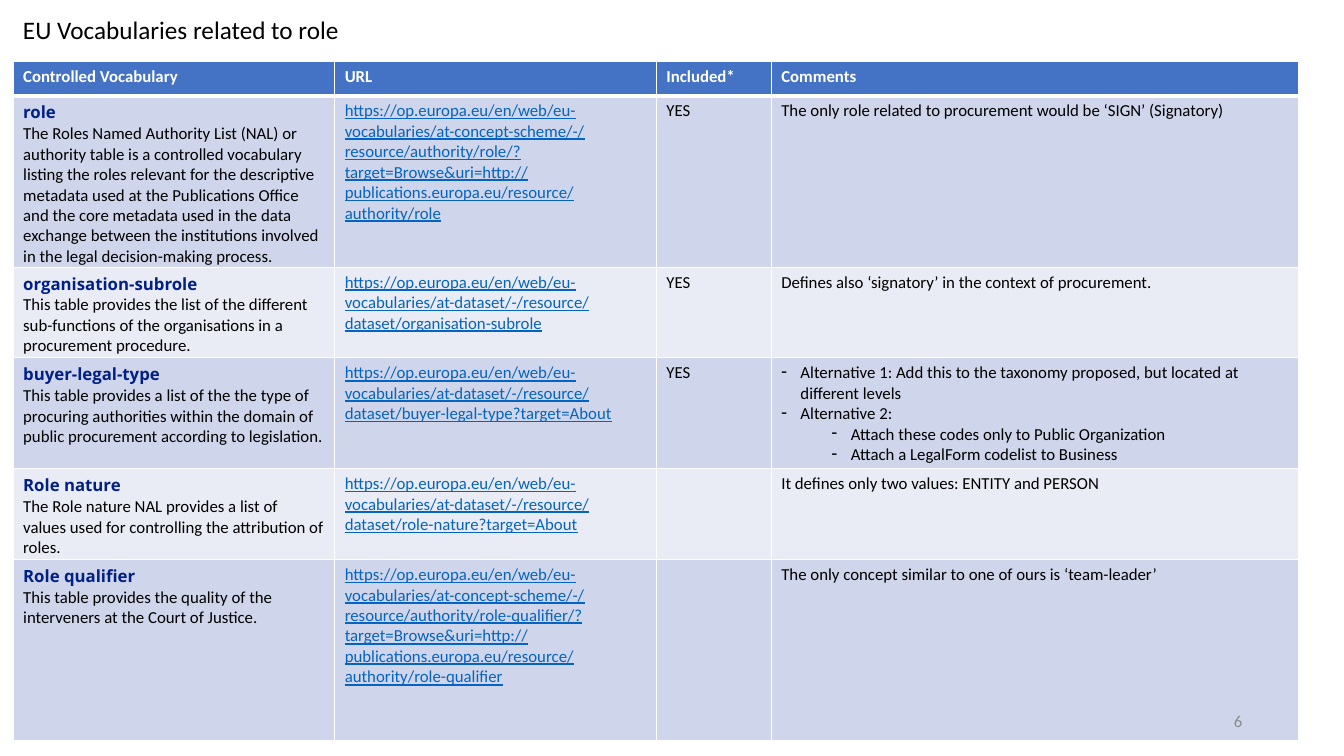
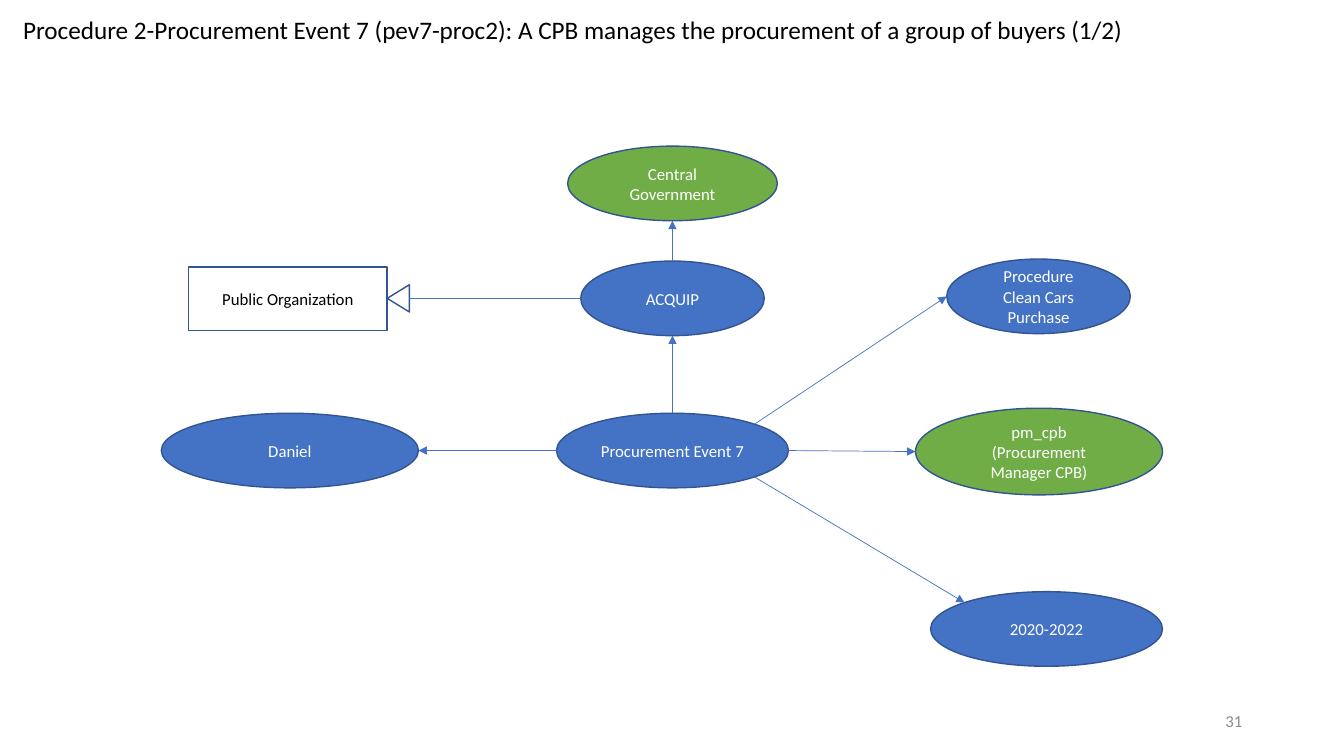
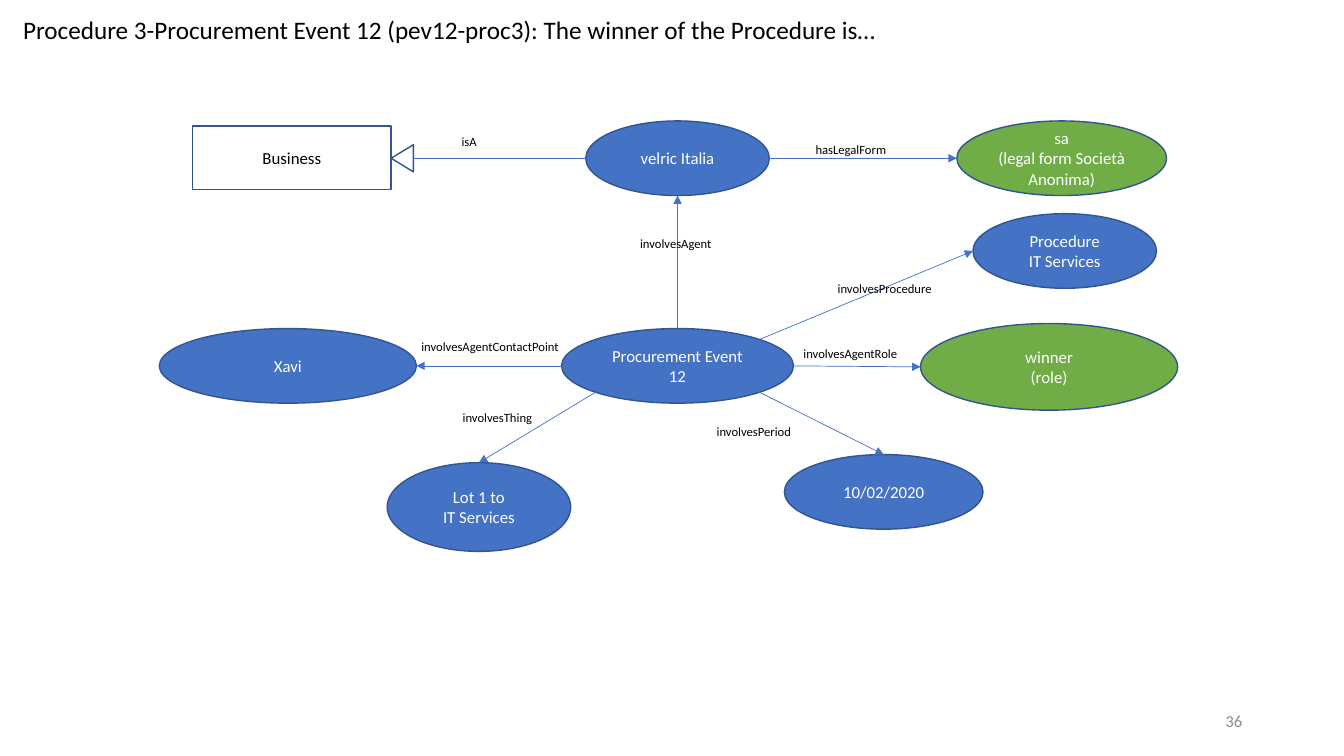
import math
from dataclasses import dataclass

from lxml import etree
from pptx import Presentation
from pptx.dml.color import RGBColor
from pptx.enum import shapes, text
from pptx.oxml import ns
from pptx.util import Inches, Pt

COLORS = {
    "text": "000000",
    "white": "FFFFFF",
    "blue": "4472C4",
    "green": "70AD47",
    "outline": "325491",
    "number": "8C8C8C",
    "heading": "012087",
    "url": "0563C1",
    "band_dark": "CFD5EA",
    "band_light": "E9EBF5",
}
BODY_FONT, HEADING_FONT = "Calibri", "Open Sans"
LEFT, CENTER, RIGHT = text.PP_ALIGN.LEFT, text.PP_ALIGN.CENTER, text.PP_ALIGN.RIGHT
COMPASS = {"e": 0, "se": 45, "s": 90, "sw": 135, "w": 180, "nw": 225, "n": 270, "ne": 315}

TABLE_LEFT, TABLE_TOP = 0.13, 0.61
COLUMN_WIDTHS = (3.19, 3.19, 1.14, 5.23)
ROW_HEIGHTS = (0.34, 1.7, 0.9, 1.1, 0.9, 1.8)
HEADERS = ("Controlled Vocabulary", "URL", "Included*", "Comments")
URL_BASE = "https://op.europa.eu/en/web/eu-vocabularies/"


@dataclass
class Title:
    wording: str
    width: float
    number: int


@dataclass
class Comment:
    wording: str
    indent: float = 0


@dataclass
class Vocabulary:
    name: str
    description: str
    url: str
    included: str
    comments: list[Comment]


@dataclass
class Node:
    """An ellipse of the diagram."""
    wording: str
    left: float
    top: float
    width: float = 1.82
    height: float = 0.74
    color: str = "blue"

    def anchor(self, direction: str) -> tuple[float, float]:
        angle = math.radians(COMPASS[direction])
        return (self.left + self.width / 2 * (1 + math.cos(angle)),
                self.top + self.height / 2 * (1 + math.sin(angle)))


@dataclass
class Arrow:
    start: str
    start_side: str
    end: str
    end_side: str


@dataclass
class Superclass:
    """A class box that a node specialises."""
    wording: str
    left: float
    top: float
    member: str


@dataclass
class Label:
    wording: str
    left: float
    top: float
    width: float


@dataclass
class Diagram:
    title: Title
    nodes: dict[str, Node]
    arrows: list[Arrow]
    superclass: Superclass
    labels: list[Label]


VOCABULARIES = [
    Vocabulary(
        "role",
        "The Roles Named Authority List (NAL) or authority table is a controlled vocabulary "
        "listing the roles relevant for the descriptive metadata used at the Publications Office "
        "and the core metadata used in the data exchange between the institutions involved in "
        "the legal decision-making process.",
        "at-concept-scheme/-/resource/authority/role/?target=Browse"
        "&uri=http://publications.europa.eu/resource/authority/role",
        "YES",
        [Comment("The only role related to procurement would be ‘SIGN’ (Signatory)")]),
    Vocabulary(
        "organisation-subrole",
        "This table provides the list of the different sub-functions of the organisations in a "
        "procurement procedure.",
        "at-dataset/-/resource/dataset/organisation-subrole",
        "YES",
        [Comment("Defines also ‘signatory’ in the context of procurement.")]),
    Vocabulary(
        "buyer-legal-type",
        "This table provides a list of the the type of procuring authorities within the domain "
        "of public procurement according to legislation.",
        "at-dataset/-/resource/dataset/buyer-legal-type?target=About",
        "YES",
        [Comment("Alternative 1: Add this to the taxonomy proposed, but located at different "
                 "levels", 0.19),
         Comment("Alternative 2:", 0.19),
         Comment("Attach these codes only to Public Organization", 0.69),
         Comment("Attach a LegalForm codelist to Business", 0.69)]),
    Vocabulary(
        "Role nature",
        "The Role nature NAL provides a list of values used for controlling the attribution of "
        "roles.",
        "at-dataset/-/resource/dataset/role-nature?target=About",
        "",
        [Comment("It defines only two values: ENTITY and PERSON")]),
    Vocabulary(
        "Role qualifier",
        "This table provides the quality of the interveners at the Court of Justice.",
        "at-concept-scheme/-/resource/authority/role-qualifier/?target=Browse"
        "&uri=http://publications.europa.eu/resource/authority/role-qualifier",
        "",
        [Comment("The only concept similar to one of ours is ‘team-leader’")]),
]

GROUP_OF_BUYERS = Diagram(
    Title("Procedure 2-Procurement Event 7 (pev7-proc2): A CPB manages the procurement of a "
          "group of buyers (1/2)", 11.15, 31),
    {
        "buyer": Node("ACQUIP", 5.76, 2.59),
        "event": Node("Procurement Event 7", 5.52, 4.1, 2.3),
        "role": Node("pm_cpb\n(Procurement Manager CPB)", 9.08, 4.05, 2.45, 0.86, "green"),
        "contact": Node("Daniel", 1.6, 4.1, 2.55),
        "level": Node("Central Government", 5.63, 1.45, 2.08, color="green"),
        "procedure": Node("Procedure\nClean Cars Purchase", 9.39, 2.57),
        "period": Node("2020-2022", 9.23, 5.87, 2.3),
    },
    [
        Arrow("event", "n", "buyer", "s"),
        Arrow("event", "w", "contact", "e"),
        Arrow("event", "e", "role", "w"),
        Arrow("buyer", "n", "level", "s"),
        Arrow("event", "ne", "procedure", "w"),
        Arrow("event", "se", "period", "nw"),
    ],
    Superclass("Public Organization", 1.87, 2.65, "buyer"),
    [],
)

WINNER = Diagram(
    Title("Procedure 3-Procurement Event 12 (pev12-proc3): The winner of the Procedure is…",
          8.71, 36),
    {
        "business": Node("velric Italia", 5.81, 1.2),
        "lot": Node("Lot 1 to\nIT Services", 3.84, 4.59, height=0.88),
        "period": Node("10/02/2020", 7.78, 4.51, 1.97),
        "event": Node("Procurement Event 12", 5.57, 3.26, 2.3),
        "role": Node("winner\n(role)", 9.13, 3.21, 2.55, 0.86, "green"),
        "contact": Node("Xavi", 1.58, 3.26, 2.55),
        "legal form": Node("sa\n(legal form Società Anonima)", 9.49, 1.2, 2.08, color="green"),
        "procedure": Node("Procedure\nIT Services", 9.65, 2.12),
    },
    [
        Arrow("event", "n", "business", "s"),
        Arrow("event", "w", "contact", "e"),
        Arrow("event", "sw", "lot", "n"),
        Arrow("event", "se", "period", "n"),
        Arrow("event", "e", "role", "w"),
        Arrow("business", "e", "legal form", "w"),
        Arrow("event", "ne", "procedure", "w"),
    ],
    Superclass("Business", 1.91, 1.25, "business"),
    [
        Label("involvesAgentContactPoint", 4.08, 3.31, 1.59),
        Label("involvesThing", 4.49, 4.02, 0.91),
        Label("involvesPeriod", 7.01, 4.16, 0.98),
        Label("involvesAgentRole", 7.87, 3.38, 1.16),
        Label("involvesAgent", 6.25, 2.29, 0.93),
        Label("isA", 4.48, 1.28, 0.35),
        Label("hasLegalForm", 7.99, 1.36, 0.91),
        Label("involvesProcedure", 8.21, 2.74, 1.15),
    ],
)


def rgb(color: str) -> RGBColor:
    return RGBColor.from_string(COLORS[color])


def style(paragraph, size=12, color="text", align=LEFT, bold=False, underline=False,
          font=BODY_FONT):
    paragraph.alignment = align
    paragraph.font.name = font
    paragraph.font.size = Pt(size)
    paragraph.font.bold = bold
    paragraph.font.underline = underline
    paragraph.font.color.rgb = rgb(color)


def write(frame, wording: str, **styling):
    """Fill a text frame, one paragraph a line, in one style."""
    frame.text = wording
    for paragraph in frame.paragraphs:
        style(paragraph, **styling)


def add_text(slide, wording: str, left, top, width, height, wrap=False,
             anchor=text.MSO_ANCHOR.TOP, **styling):
    box = slide.shapes.add_textbox(Inches(left), Inches(top), Inches(width), Inches(height))
    box.text_frame.word_wrap = wrap
    box.text_frame.vertical_anchor = anchor
    write(box.text_frame, wording, **styling)


def add_title(slide, title: Title):
    add_text(slide, title.wording, 0.13, 0.09, title.width, 0.4, size=18)


def add_number(slide, title: Title):
    add_text(slide, str(title.number), 9.42, 6.95, 3, 0.4, wrap=True,
             anchor=text.MSO_ANCHOR.MIDDLE, color="number", align=RIGHT)


def add_outlined(slide, kind, left, top, width, height, fill=None):
    shape = slide.shapes.add_shape(kind, Inches(left), Inches(top), Inches(width), Inches(height))
    shape.shadow.inherit = False
    shape.line.color.rgb = rgb("outline")
    shape.line.width = Pt(1)
    if fill:
        shape.fill.solid()
        shape.fill.fore_color.rgb = rgb(fill)
    else:
        shape.fill.background()
    shape.text_frame.vertical_anchor = text.MSO_ANCHOR.MIDDLE
    return shape


def add_line(slide, start: tuple[float, float], end: tuple[float, float], arrowhead=True):
    points = [Inches(value) for value in (*start, *end)]
    line = slide.shapes.add_connector(shapes.MSO_CONNECTOR.STRAIGHT, *points)
    line.line.color.rgb = rgb("blue")
    line.line.width = Pt(0.5)
    if arrowhead:
        etree.SubElement(line.line._get_or_add_ln(), ns.qn("a:tailEnd"), type="triangle")
    etree.SubElement(line._element.spPr, ns.qn("a:effectLst"))


def add_superclass(slide, superclass: Superclass, member: Node):
    """Draw the class box with a hollow triangle and a line to its member."""
    width, height, base, depth = 1.97, 0.63, 0.27, 0.22
    box = add_outlined(slide, shapes.MSO_SHAPE.RECTANGLE, superclass.left, superclass.top,
                       width, height)
    write(box.text_frame, superclass.wording, align=CENTER)
    tip = superclass.left + width
    member_point = member.anchor("w")
    middle = member_point[1]
    triangle = add_outlined(slide, shapes.MSO_SHAPE.ISOSCELES_TRIANGLE,
                            tip + (depth - base) / 2, middle - depth / 2, base, depth)
    triangle.rotation = 270
    add_line(slide, member_point, (tip + depth, middle), arrowhead=False)


def add_diagram(slide, diagram: Diagram):
    add_title(slide, diagram.title)
    nodes = diagram.nodes
    for node in nodes.values():
        ellipse = add_outlined(slide, shapes.MSO_SHAPE.OVAL, node.left, node.top,
                               node.width, node.height, node.color)
        write(ellipse.text_frame, node.wording, color="white", align=CENTER)
    for arrow in diagram.arrows:
        add_line(slide, nodes[arrow.start].anchor(arrow.start_side),
                 nodes[arrow.end].anchor(arrow.end_side))
    add_superclass(slide, diagram.superclass, nodes[diagram.superclass.member])
    for label in diagram.labels:
        add_text(slide, label.wording, label.left, label.top, label.width, 0.25, size=9)
    add_number(slide, diagram.title)


def paint_cell(cell, color: str, bottom_width=1):
    """Give a cell white borders and a fill."""
    properties = cell._tc.get_or_add_tcPr()
    for side, width in (("L", 1), ("R", 1), ("T", 1), ("B", bottom_width)):
        border = etree.SubElement(properties, ns.qn(f"a:ln{side}"), w=str(Pt(width)))
        fill = etree.SubElement(border, ns.qn("a:solidFill"))
        etree.SubElement(fill, ns.qn("a:srgbClr"), val=COLORS["white"])
    cell.fill.solid()
    cell.fill.fore_color.rgb = rgb(color)


def write_comments(frame, comments: list[Comment]):
    frame.text = "\n".join(comment.wording for comment in comments)
    for paragraph, comment in zip(frame.paragraphs, comments):
        if comment.indent:
            properties = paragraph._p.get_or_add_pPr()
            properties.set("marL", str(Inches(comment.indent)))
            properties.set("indent", str(-Inches(0.19)))
            etree.SubElement(properties, ns.qn("a:buChar"), char="-")
        style(paragraph)


def add_vocabulary_table(slide):
    table = slide.shapes.add_table(
        len(ROW_HEIGHTS), len(COLUMN_WIDTHS), Inches(TABLE_LEFT), Inches(TABLE_TOP),
        Inches(sum(COLUMN_WIDTHS)), Inches(sum(ROW_HEIGHTS))).table
    for column, width in zip(table.columns, COLUMN_WIDTHS):
        column.width = Inches(width)
    for row, height in zip(table.rows, ROW_HEIGHTS):
        row.height = Inches(height)
    for column, header in enumerate(HEADERS):
        cell = table.cell(0, column)
        paint_cell(cell, "blue", bottom_width=3)
        write(cell.text_frame, header, color="white", bold=True)
    for row, vocabulary in enumerate(VOCABULARIES, start=1):
        cells = [table.cell(row, column) for column in range(len(HEADERS))]
        for cell in cells:
            paint_cell(cell, "band_dark" if row % 2 else "band_light")
        name, url, included, comments = (cell.text_frame for cell in cells)
        write(name, f"{vocabulary.name}\n{vocabulary.description}")
        style(name.paragraphs[0], color="heading", bold=True, font=HEADING_FONT)
        write(url, URL_BASE + vocabulary.url, color="url", underline=True)
        write(included, vocabulary.included)
        write_comments(comments, vocabulary.comments)


def main():
    presentation = Presentation()
    presentation.slide_width, presentation.slide_height = Inches(13.33), Inches(7.5)
    blank = presentation.slide_layouts[6]

    vocabulary_slide = presentation.slides.add_slide(blank)
    title = Title("EU Vocabularies related to role", 3.37, 6)
    add_title(vocabulary_slide, title)
    add_vocabulary_table(vocabulary_slide)
    add_number(vocabulary_slide, title)

    for diagram in (GROUP_OF_BUYERS, WINNER):
        add_diagram(presentation.slides.add_slide(blank), diagram)

    presentation.save("out.pptx")


if __name__ == "__main__":
    main()
